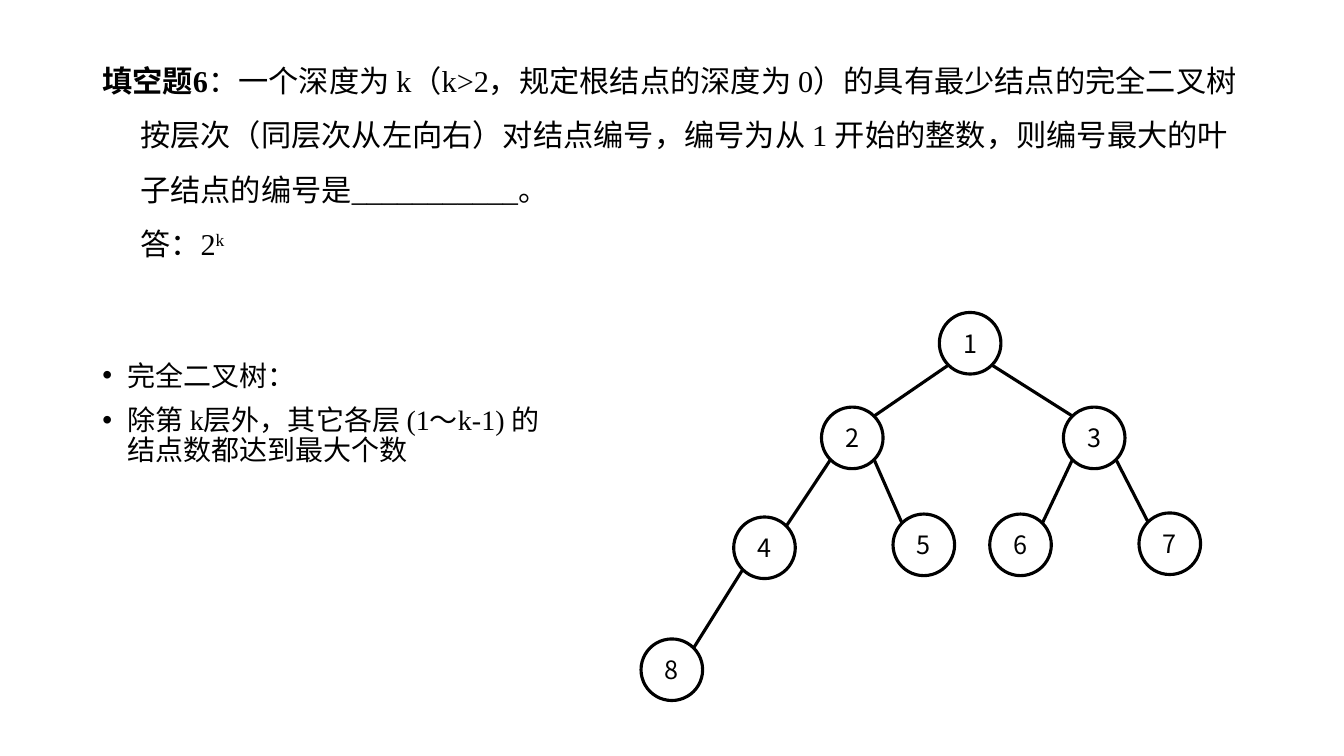
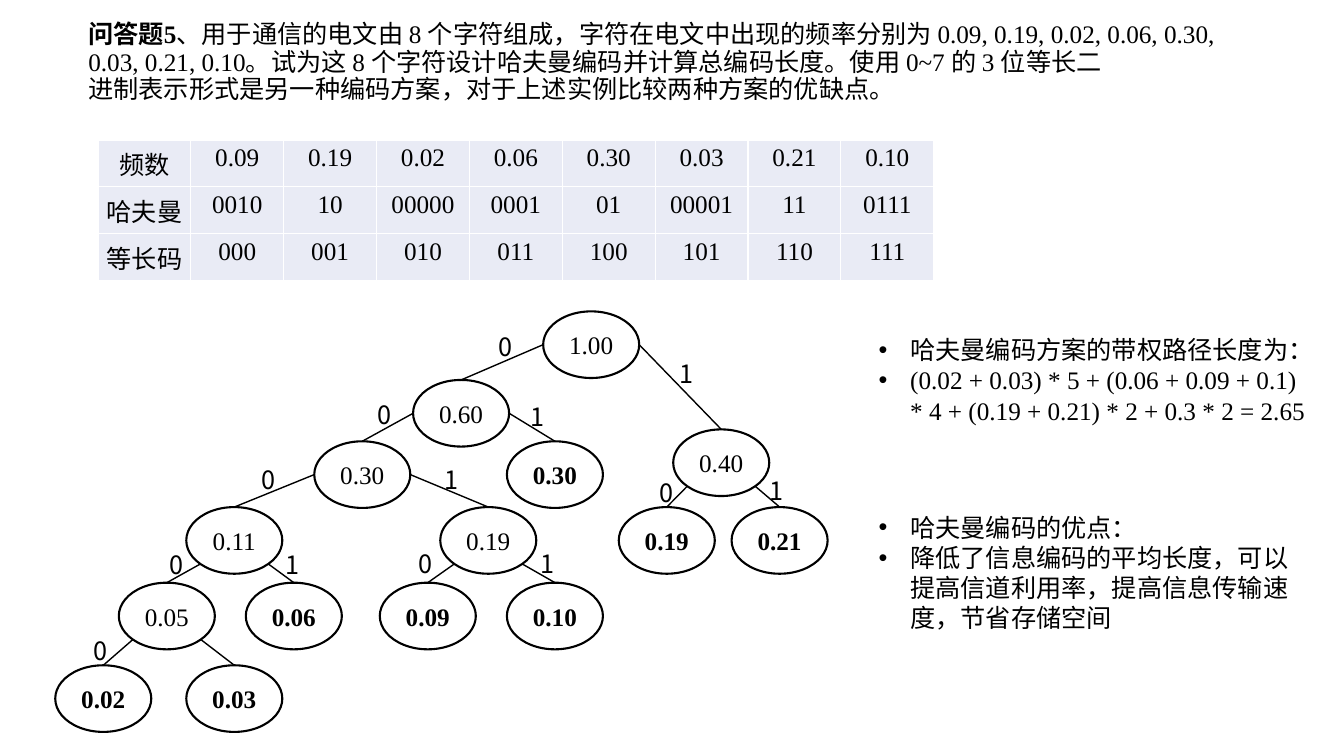
from lxml.etree import SubElement
from pptx import Presentation
from pptx.dml.color import RGBColor
from pptx.enum.shapes import MSO_CONNECTOR, MSO_SHAPE
from pptx.enum.text import MSO_ANCHOR, PP_ALIGN
from pptx.oxml.ns import qn
from pptx.util import Pt

SERIF, SANS = "Times New Roman", "Noto Sans CJK SC"
BLACK, WHITE, PALE = "000000", "FFFFFF", "E9EBF5"
hue = RGBColor.from_string


def write(para, parts, size=18, font=SERIF, bold=False, align=None,
          space=None, hang=0, left=None, bullet=False):
    """Fill a paragraph from (text, style) parts; style is "", "bold" or "super"."""
    props = para._p.get_or_add_pPr()
    if hang:
        props.set("marL", str(Pt(hang if left is None else left)))
        props.set("indent", str(-Pt(hang)))
    if bullet:
        SubElement(props, qn("a:buFont")).set("typeface", "Arial")
        SubElement(props, qn("a:buChar")).set("char", "•")
    para.alignment, para.line_spacing = align, space
    para.font.size, para.font.name, para.font.bold = Pt(size), font, bold
    para.font.color.rgb = hue(BLACK)
    for text, style in parts:
        for i, line in enumerate(text.split("\n")):
            if i:
                para.add_line_break()
            run = para.add_run()
            run.text = line
            if style == "bold":
                run.font.bold = True
            elif style == "super":
                run._r.get_or_add_rPr().set("baseline", "30000")


def add_box(slide, x, y, w, h, anchor=MSO_ANCHOR.TOP):
    frame = slide.shapes.add_textbox(Pt(x), Pt(y), Pt(w), Pt(h)).text_frame
    frame.word_wrap, frame.vertical_anchor = True, anchor
    return frame


deck = Presentation()
deck.slide_width, deck.slide_height = Pt(960), Pt(540)
fill, essay = [deck.slides.add_slide(deck.slide_layouts[6]) for _ in range(2)]

# Questions
frame = add_box(fill, 66, 28.8, 828, 161, MSO_ANCHOR.MIDDLE)
write(frame.paragraphs[0], [
    ("填空题6", "bold"),
    ("：一个深度为 k（k>2，规定根结点的深度为 0）的具有最少结点的完全二叉树按层次"
     "（同层次从左向右）对结点编号，编号为从 1 开始的整数，则编号最大的叶子结点的编号是"
     "___________。\n答：2", ""),
    ("k", "super")], size=21.6, space=1.5, hang=27)

frame = add_box(essay, 56, 6.5, 855, 77, MSO_ANCHOR.MIDDLE)
write(frame.paragraphs[0], [
    ("问答题5", "bold"),
    ("、用于通信的电文由 8 个字符组成，字符在电文中出现的频率分别为 "
     "0.09, 0.19, 0.02, 0.06, 0.30, \n"
     "0.03, 0.21, 0.10。试为这 8 个字符设计哈夫曼编码并计算总编码长度。"
     "使用 0~7 的 3 位等长二\n"
     "进制表示形式是另一种编码方案，对于上述实例比较两种方案的优缺点。", "")], space=0.9)

# Bullet lists: slide, box, size, hang, line spacing, gap, items
lists = [
    (fill, (66, 255, 346, 230), 20, 18, 0.9, 10,
     ["完全二叉树：", "除第 k层外，其它各层 (1～k-1) 的结点数都达到最大个数"]),
    (essay, (620.6, 235.4, 321, 73), 18, 22.5, None, 0,
     ["哈夫曼编码方案的带权路径长度为：",
      "(0.02 + 0.03) * 5 + (0.06 + 0.09 + 0.1) * 4 + (0.19 + 0.21) * 2 + 0.3 * 2 = 2.65"]),
    (essay, (620.6, 362.2, 321, 94), 18, 22.5, None, 0,
     ["哈夫曼编码的优点：",
      "降低了信息编码的平均长度，可以提高信道利用率，提高信息传输速度，节省存储空间"]),
]
for slide, box, size, hang, space, gap, items in lists:
    frame = add_box(slide, *box)
    for i, item in enumerate(items):
        para = frame.add_paragraph() if i else frame.paragraphs[0]
        write(para, [(item, "")], size, space=space, hang=hang, bullet=True)
        if i:
            para.space_before = Pt(gap)

# Code table
codes = [
    ["频数", "0.09", "0.19", "0.02", "0.06", "0.30", "0.03", "0.21", "0.10"],
    ["哈夫曼", "0010", "10", "00000", "0001", "01", "00001", "11", "0111"],
    ["等长码", "000", "001", "010", "011", "100", "101", "110", "111"],
]
table = essay.shapes.add_table(3, 9, Pt(70), Pt(100), Pt(597), Pt(100.2)).table
table.first_row = table.horz_banding = False
for r, row in enumerate(codes):
    for c, text in enumerate(row):
        cell = table.cell(r, c)
        cell.fill.solid()
        cell.fill.fore_color.rgb = hue(PALE)
        cell.margin_left = cell.margin_right = Pt(5)
        cell.margin_top = cell.margin_bottom = 0
        write(cell.text_frame.paragraphs[0], [(text, "")],
              align=PP_ALIGN.CENTER, space=1.15)

# Trees: each node is text, centre x, centre y, parent index, side (-1 left, 1 right)
count = [
    ("1", 693, 245.2, None, 0),
    ("2", 608.8, 312.8, 0, -1), ("3", 781.6, 312.8, 0, 1),
    ("4", 546.1, 391.3, 1, -1), ("5", 659.9, 389.2, 1, 1),
    ("6", 729, 389.2, 2, -1), ("7", 835.6, 388.4, 2, 1),
    ("8", 479.9, 478.4, 3, -1),
]
huffman = [
    ("1.00", 422.3, 246.2, None, 0),
    ("0.60", 329.4, 295.2, 0, -1), ("0.30", 258.8, 339, 1, -1),
    ("0.40", 515.2, 330.5, 0, 1), ("0.30", 396.4, 339, 1, 1),
    ("0.11", 167.4, 386, 2, -1), ("0.19", 348.8, 386, 2, 1),
    ("0.19", 476.3, 386, 3, -1), ("0.21", 556.9, 386, 3, 1),
    ("0.05", 119.2, 440, 5, -1), ("0.06", 209.9, 440, 5, 1),
    ("0.09", 305.6, 440, 6, -1), ("0.10", 396.4, 440, 6, 1),
    ("0.02", 73.8, 499, 9, -1), ("0.03", 167.4, 499, 9, 1),
]
DIAG = 0.71  # diagonal point of an ellipse, as a share of its half size
# slide, nodes, width, height, font, outline, edge, child end, side-joined parents, bold leaves
trees = [
    (fill, count, 44, 44, SANS, 2.25, 2.25, (DIAG, DIAG), (), False),
    (essay, huffman, 68.6, 47.6, SERIF, 1.5, 1, (0, 1), (0, 1, 2), True),
]
for slide, nodes, w, h, font, ring, edge, (endx, endy), wide, strong in trees:
    parents = {node[3] for node in nodes}
    for i, (text, x, y, up, side) in enumerate(nodes):
        if up is not None:
            px, py = nodes[up][1:3]
            dx, dy = (1, 0) if up in wide else (DIAG, DIAG)
            line = slide.shapes.add_connector(
                MSO_CONNECTOR.STRAIGHT,
                Pt(px + side * dx * w / 2), Pt(py + dy * h / 2),
                Pt(x - side * endx * w / 2), Pt(y - endy * h / 2))
            line.line.color.rgb, line.line.width = hue(BLACK), Pt(edge)
            SubElement(line._element.spPr, qn("a:effectLst"))
        oval = slide.shapes.add_shape(
            MSO_SHAPE.OVAL, Pt(x - w / 2), Pt(y - h / 2), Pt(w), Pt(h))
        oval.shadow.inherit = False
        oval.fill.solid()
        oval.fill.fore_color.rgb = hue(WHITE)
        oval.line.color.rgb, oval.line.width = hue(BLACK), Pt(ring)
        frame = oval.text_frame
        frame.word_wrap, frame.vertical_anchor = False, MSO_ANCHOR.MIDDLE
        write(frame.paragraphs[0], [(text, "")], font=font,
              bold=strong and i not in parents, align=PP_ALIGN.CENTER)

# Edge labels
marks = {
    "0": [(349.2, 233.3), (262.8, 281.5), (180, 328.3), (113.8, 388.8),
          (59.8, 450), (291.6, 388), (463.7, 337.7)],
    "1": [(542.9, 336.2), (478, 252.7), (372.2, 283), (310.3, 328.3),
          (196.6, 388.8), (378.7, 388)],
}
for bit, spots in marks.items():
    for x, y in spots:
        frame = add_box(essay, x, y, 36, 28.8)
        write(frame.paragraphs[0], [(bit, "")], font=SANS)

deck.save("out.pptx")
